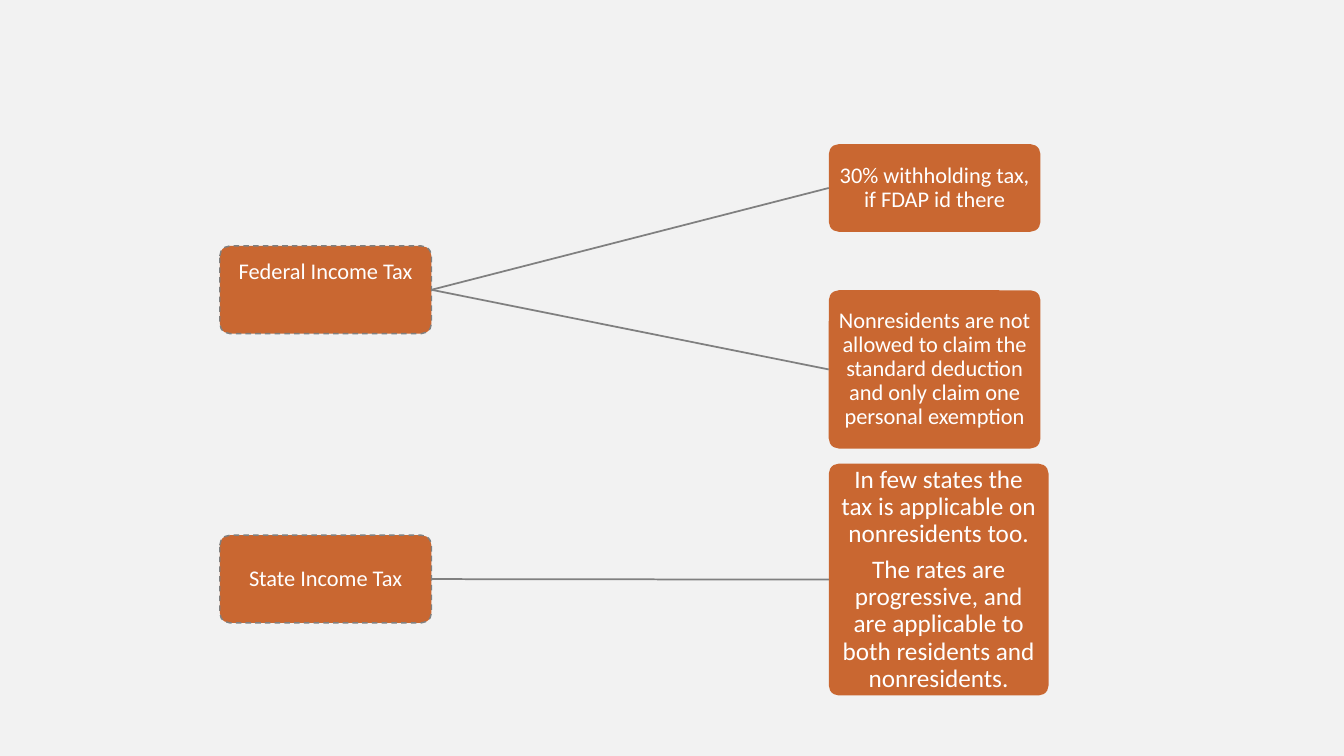
import pptx
import pptx.dml.color
import pptx.enum.dml
import pptx.enum.shapes
import pptx.enum.text
import pptx.util
from lxml import etree

Inches = pptx.util.Inches
Pt = pptx.util.Pt

# Content: each tax has a box top and its rules as (paragraphs, top, width, height, size)
TAXES = [
    ("Federal Income Tax", 2.44, 0.34, [
        (["30% withholding tax, if FDAP id there"], 1.43, 2.1, 0.87, 16),
        (["Nonresidents are not allowed to claim the standard deduction "
          "and only claim one personal exemption"], 2.88, 2.1, 1.57, 16),
    ]),
    ("State Income Tax", 5.31, 0, [
        (["In few states the tax is applicable on nonresidents too.",
          "The rates are progressive, and are applicable to both residents "
          "and nonresidents."], 4.6, 2.18, 2.3, 18),
    ]),
]
TAX_LEFT, RULE_LEFT = 2.18, 8.22
TAX_WIDTH, TAX_HEIGHT = 2.1, 0.87
CORNER, MARGIN = 0.1, 0.06
ORANGE, GRAY, WHITE, BACKGROUND = "C96731", "808080", "FFFFFF", "F2F2F2"


def color(value):
    return pptx.dml.color.RGBColor.from_string(value)


def add_box(slide, paragraphs, left, top, width, height, size, lift=0):
    shape = slide.shapes.add_shape(
        pptx.enum.shapes.MSO_SHAPE.ROUNDED_RECTANGLE,
        Inches(left), Inches(top), Inches(width), Inches(height))
    shape.adjustments[0] = CORNER / min(width, height)
    shape.shadow.inherit = False
    shape.fill.solid()
    shape.fill.fore_color.rgb = color(ORANGE)
    shape.line.fill.background()
    frame = shape.text_frame
    frame.word_wrap = True
    frame.vertical_anchor = pptx.enum.text.MSO_ANCHOR.MIDDLE
    frame.margin_left = frame.margin_right = frame.margin_top = Inches(MARGIN)
    frame.margin_bottom = Inches(MARGIN + lift)
    frame.text = "\n".join(paragraphs)
    for paragraph in frame.paragraphs:
        paragraph.alignment = pptx.enum.text.PP_ALIGN.CENTER
        paragraph.line_spacing = 0.9
        paragraph.space_after = Pt(0.35 * size)
        paragraph.font.size = Pt(size)
        paragraph.font.name = "Calibri"
        paragraph.font.color.rgb = color(WHITE)
    return shape


def add_link(slide, tax_box, rule_box):
    link = slide.shapes.add_connector(
        pptx.enum.shapes.MSO_CONNECTOR.STRAIGHT, 0, 0, 0, 0)
    link.begin_connect(tax_box, 3)
    link.end_connect(rule_box, 1)
    link.line.color.rgb = color(GRAY)
    link.line.width = Pt(1.25)
    properties = link._element.spPr
    etree.SubElement(properties, pptx.oxml.ns.qn("a:effectLst"))


def main():
    presentation = pptx.Presentation()
    presentation.slide_width = Inches(13.33)
    presentation.slide_height = Inches(7.5)
    slide = presentation.slides.add_slide(presentation.slide_layouts[6])
    slide.background.fill.solid()
    slide.background.fill.fore_color.rgb = color(BACKGROUND)

    for name, top, lift, rules in TAXES:
        # Tax box with a dashed outline
        tax_box = add_box(slide, [name], TAX_LEFT, top, TAX_WIDTH, TAX_HEIGHT, 16, lift)
        tax_box.line.color.rgb = color(GRAY)
        tax_box.line.width = Pt(1)
        tax_box.line.dash_style = pptx.enum.dml.MSO_LINE.DASH

        # Rule boxes, each linked to its tax
        for paragraphs, rule_top, width, height, size in rules:
            rule_box = add_box(slide, paragraphs, RULE_LEFT, rule_top, width, height, size)
            add_link(slide, tax_box, rule_box)

    presentation.save("out.pptx")


if __name__ == "__main__":
    main()
